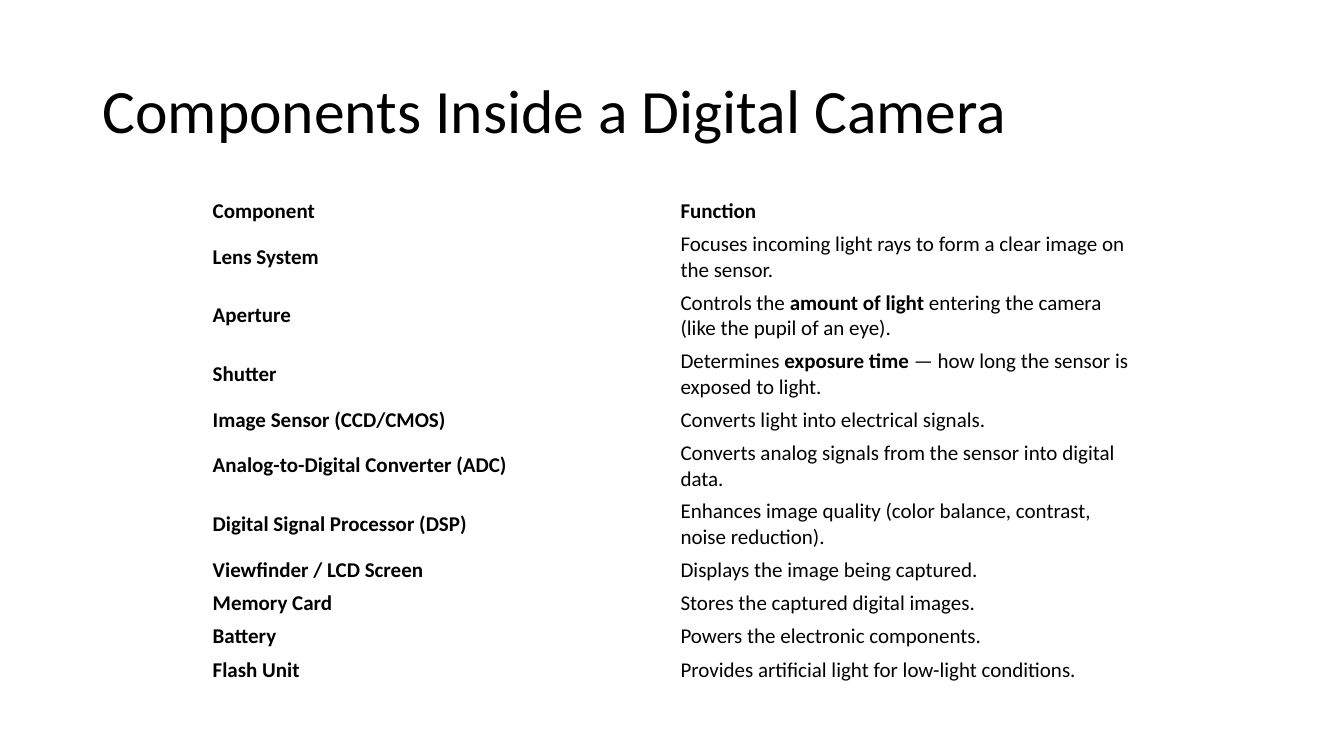
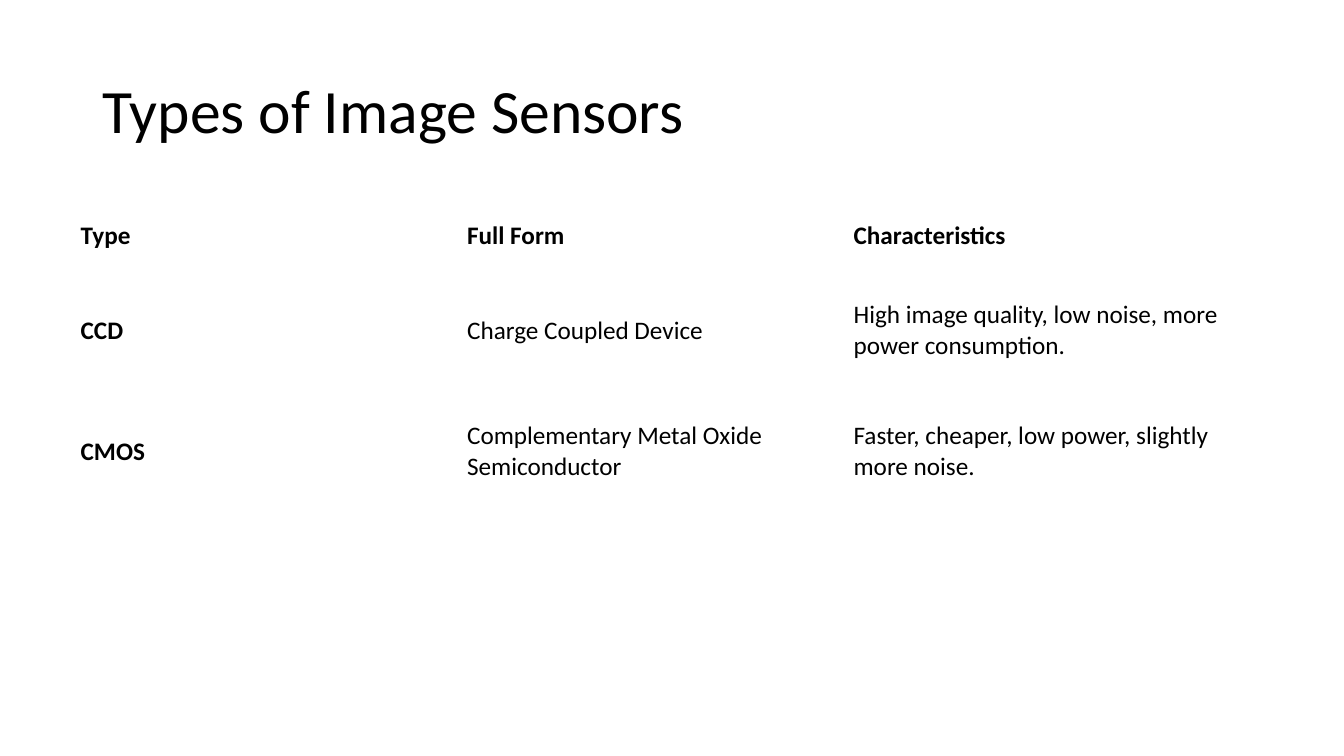
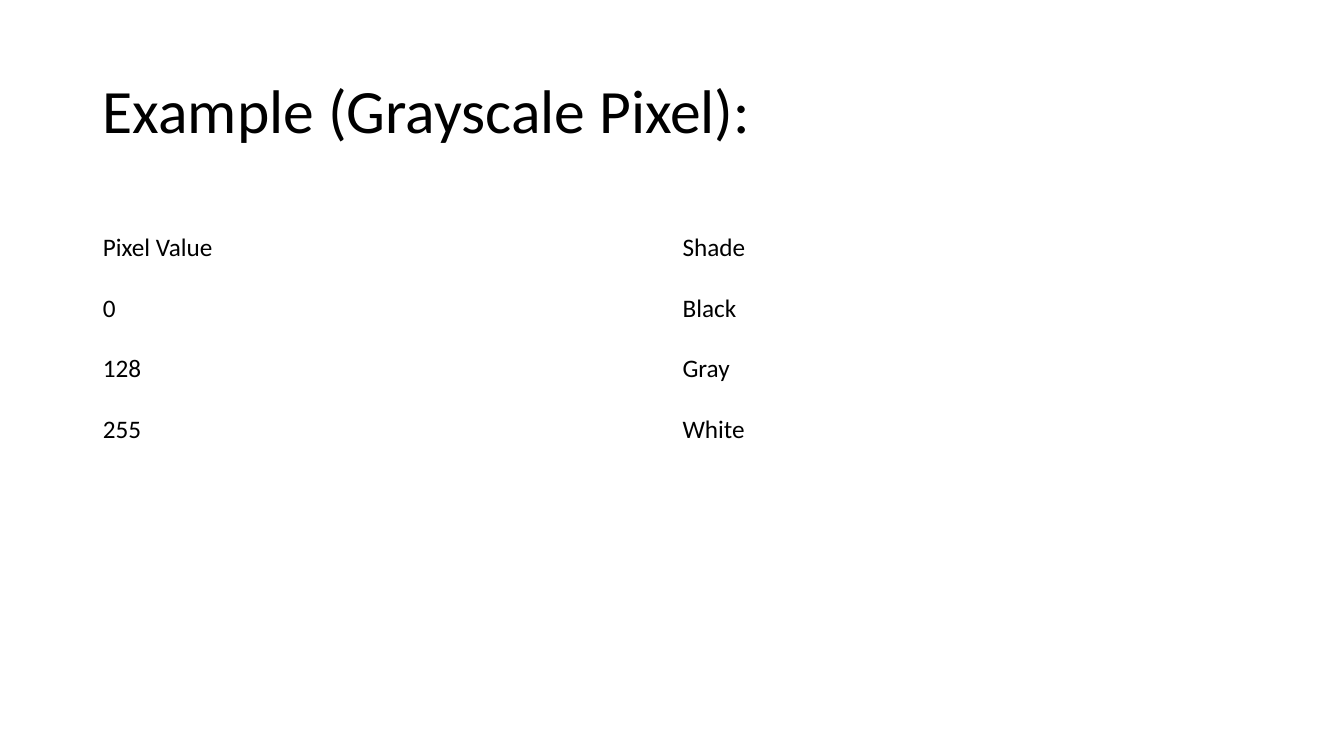
"""Build three slides on digital cameras, each a title over a plain table."""
from pptx import Presentation
from pptx.dml.color import RGBColor
from pptx.enum.text import MSO_ANCHOR
from pptx.util import Inches, Pt

BLACK = RGBColor(0x00, 0x00, 0x00)
FONT = "Calibri"
MARK = "**"

PARTS = [
    ("Component", "Function"),
    ("Lens System", "Focuses incoming light rays to form a clear image on the sensor."),
    ("Aperture", "Controls the **amount of light** entering the camera (like the pupil of an eye)."),
    ("Shutter", "Determines **exposure time** — how long the sensor is exposed to light."),
    ("Image Sensor (CCD/CMOS)", "Converts light into electrical signals."),
    ("Analog-to-Digital Converter (ADC)", "Converts analog signals from the sensor into digital data."),
    ("Digital Signal Processor (DSP)", "Enhances image quality (color balance, contrast, noise reduction)."),
    ("Viewfinder / LCD Screen", "Displays the image being captured."),
    ("Memory Card", "Stores the captured digital images."),
    ("Battery", "Powers the electronic components."),
    ("Flash Unit", "Provides artificial light for low-light conditions."),
]
SENSORS = [
    ("Type", "Full Form", "Characteristics"),
    ("CCD", "Charge Coupled Device", "High image quality, low noise, more power consumption."),
    ("CMOS", "Complementary Metal Oxide Semiconductor", "Faster, cheaper, low power, slightly more noise."),
]
SHADES = [
    ("Pixel Value", "Shade"),
    ("0", "Black"),
    ("128", "Gray"),
    ("255", "White"),
]
ONE, TWO = 0.32, 0.56

SLIDES = [
    dict(title="Components Inside a Digital Camera", rows=PARTS,
         left=2.03, top=1.93, width=9.28, size=15, heads=True, pad=(0.08, 0.04),
         heights=[ONE, TWO, TWO, TWO, ONE, TWO, TWO, ONE, ONE, ONE, ONE]),
    dict(title="Types of Image Sensors", rows=SENSORS,
         left=0.7, top=2, width=11.5, size=18, heads=True, pad=(0.1, 0.05),
         heights=[0.68, 1.2, 1.2]),
    dict(title="Example (Grayscale Pixel):", rows=SHADES,
         left=0.92, top=2.16, width=11.5, size=18, heads=False, pad=(0.1, 0.05),
         heights=[0.6] * 4),
]


def style(run, size, bold=False):
    font = run.font
    font.name, font.size, font.bold = FONT, Pt(size), bold
    font.color.rgb = BLACK


def add_title(slide, text):
    box = slide.shapes.add_textbox(Inches(0.92), Inches(0.4), Inches(11.5), Inches(1.45))
    frame = box.text_frame
    frame.word_wrap = True
    frame.vertical_anchor = MSO_ANCHOR.MIDDLE
    frame.text = text
    line = frame.paragraphs[0]
    line.line_spacing = 0.9
    style(line.runs[0], 44)


def fill_cell(cell, text, size, bold, pad):
    cell.fill.background()
    cell.vertical_anchor = MSO_ANCHOR.MIDDLE
    cell.margin_left = cell.margin_right = Inches(pad[0])
    cell.margin_top = cell.margin_bottom = Inches(pad[1])
    line = cell.text_frame.paragraphs[0]
    for i, part in enumerate(text.split(MARK)):
        run = line.add_run()
        run.text = part
        style(run, size, bold or i % 2 == 1)


def add_grid(slide, rows, left, top, width, size, heads, pad, heights):
    count = len(rows[0])
    grid = slide.shapes.add_table(
        len(rows), count, Inches(left), Inches(top),
        Inches(width), Inches(sum(heights))).table
    grid.first_row = grid.horz_banding = False
    for col in grid.columns:
        col.width = Inches(width / count)
    for r, (texts, height) in enumerate(zip(rows, heights)):
        grid.rows[r].height = Inches(height)
        for c, text in enumerate(texts):
            fill_cell(grid.cell(r, c), text, size, heads and 0 in (r, c), pad)


def main():
    deck = Presentation()
    deck.slide_width, deck.slide_height = Inches(13.33), Inches(7.5)
    for page in SLIDES:
        slide = deck.slides.add_slide(deck.slide_layouts[6])
        add_title(slide, page["title"])
        add_grid(slide, **{key: val for key, val in page.items() if key != "title"})
    deck.save("out.pptx")


if __name__ == "__main__":
    main()
